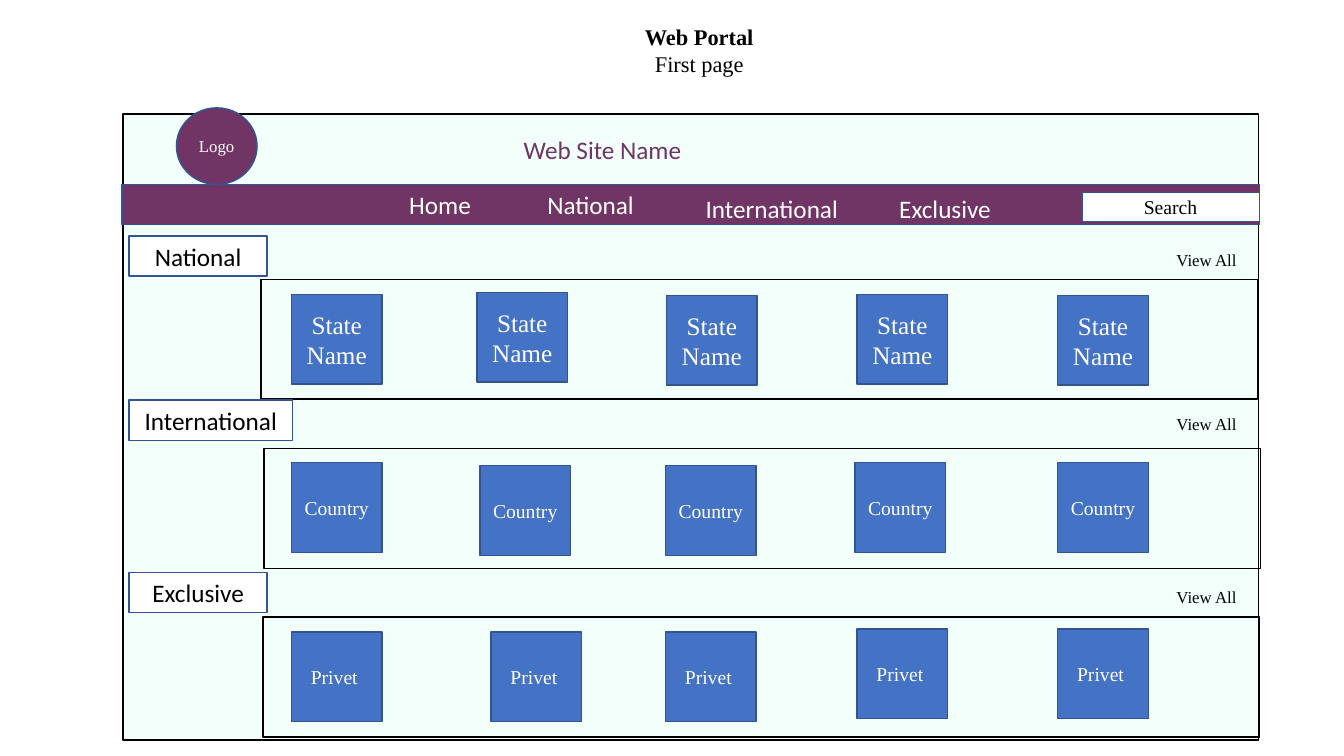
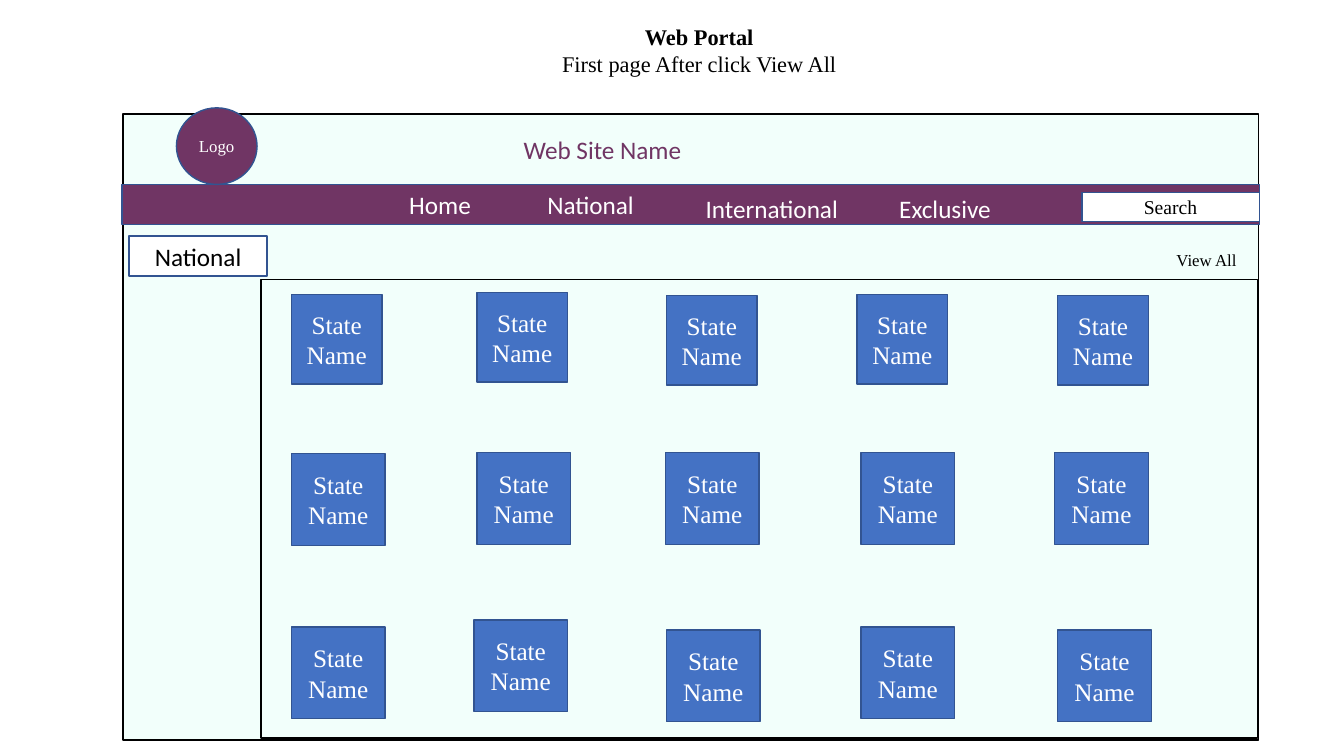
from dataclasses import dataclass
from typing import NamedTuple

from pptx import Presentation
from pptx.dml.color import RGBColor
from pptx.enum.shapes import MSO_SHAPE
from pptx.enum.text import MSO_ANCHOR, MSO_AUTO_SIZE, PP_ALIGN
from pptx.shapes.autoshape import Shape
from pptx.slide import Slide
from pptx.text.text import TextFrame
from pptx.util import Inches, Pt

BLACK = RGBColor(0x00, 0x00, 0x00)
WHITE = RGBColor(0xFF, 0xFF, 0xFF)
MINT = RGBColor(0xF2, 0xFF, 0xFB)
PLUM = RGBColor(0x70, 0x35, 0x64)
BLUE = RGBColor(0x44, 0x72, 0xC4)
NAVY = RGBColor(0x32, 0x54, 0x91)

SERIF = "Times New Roman"
SANS = "Calibri"

# Square grid: ten columns or rows to the inch.
CELL = Inches(0.1)
TITLE_LAYOUT = 5
TEXT_HEIGHT = 4


class Box(NamedTuple):
    """Left, top, width and height in grid cells."""
    left: float
    top: float
    width: float
    height: float

    def emu(self) -> list[int]:
        """Give the four lengths in slide units."""
        return [round(n * CELL) for n in self]


class Style(NamedTuple):
    """Font, size in points and colour of a text."""
    font: str
    size: int
    color: RGBColor


@dataclass(frozen=True)
class TileRow:
    """A row of equally sized tiles that carry the same text."""
    text: str
    size: int
    lefts: tuple[float, ...]
    tops: tuple[float, ...]
    width: float = 9
    height: float = 8.9


@dataclass(frozen=True)
class Section:
    """A label with its link, and a panel holding rows of tiles."""
    label: str
    label_top: float
    label_width: float
    panel: Box
    rows: tuple[TileRow, ...]


@dataclass(frozen=True)
class Page:
    """Subtitle and sections of one slide."""
    subtitle: str
    sections: tuple[Section, ...]


NAV = (
    ("Home", Box(39.6, 18.3, 9.1, TEXT_HEIGHT)),
    ("National", Box(53.3, 18.3, 11.6, TEXT_HEIGHT)),
    ("International", Box(69, 18.7, 16, TEXT_HEIGHT)),
    ("Exclusive", Box(88.2, 18.7, 13.1, TEXT_HEIGHT)),
)

STATES = TileRow("State Name", 18, (28.9, 47.3, 66.1, 85, 104.9),
                 (29.2, 29, 29.3, 29.2, 29.3))
COUNTRIES = TileRow("Country", 14, (28.9, 47.6, 66, 84.8, 104.9),
                    (45.9, 46.2, 46.2, 45.9, 45.9))
PRIVATE = TileRow("Privet ", 14, (28.9, 48.7, 66, 85, 104.9),
                  (62.7, 62.7, 62.7, 62.4, 62.4))
MORE_STATES = (
    TileRow("State Name", 18, (28.9, 47.3, 66, 85.4, 104.6),
            (45, 44.9, 44.9, 44.9, 44.9), 9.3, 9.1),
    TileRow("State Name", 18, (28.9, 47, 66.1, 85.4, 104.9),
            (62.2, 61.5, 62.5, 62.2, 62.5), 9.3, 9.1),
)

PAGES = (
    Page("First page", (
        Section("National", 23.4, 13.7, Box(25.9, 27.7, 98.8, 11.9), (STATES,)),
        Section("International", 39.7, 16.2, Box(26.2, 44.5, 98.8, 11.9),
                (COUNTRIES,)),
        Section("Exclusive", 56.8, 13.7, Box(26.1, 61.2, 98.8, 11.9),
                (PRIVATE,)),
    )),
    Page("First page After click View All", (
        Section("National", 23.4, 13.7, Box(25.9, 27.7, 98.8, 45.5),
                (STATES, *MORE_STATES)),
    )),
)


def write(tf: TextFrame, text: str, style: Style, align: PP_ALIGN) -> None:
    """Fill a text frame, one paragraph a line, in one style."""
    tf.text = text
    for p in tf.paragraphs:
        p.alignment = align
        p.font.name = style.font
        p.font.size = Pt(style.size)
        p.font.color.rgb = style.color


def add_text(s: Slide, box: Box, text: str, style: Style,
             align: PP_ALIGN = PP_ALIGN.LEFT, wrap: bool = False) -> None:
    """Add a text box."""
    tf = s.shapes.add_textbox(*box.emu()).text_frame
    tf.word_wrap = wrap
    write(tf, text, style, align)


def add_block(s: Slide, box: Box, fill: RGBColor | None, line: RGBColor,
              kind: MSO_SHAPE = MSO_SHAPE.RECTANGLE) -> Shape:
    """Add an outlined shape, hollow when there is no fill."""
    sp = s.shapes.add_shape(kind, *box.emu())
    sp.shadow.inherit = False
    if fill is None:
        sp.fill.background()
    else:
        sp.fill.solid()
        sp.fill.fore_color.rgb = fill
    sp.line.color.rgb = line
    sp.line.width = Pt(1)
    return sp


def add_label(s: Slide, box: Box, fill: RGBColor, text: str, style: Style,
              kind: MSO_SHAPE = MSO_SHAPE.RECTANGLE) -> None:
    """Add a filled shape with centred text."""
    tf = add_block(s, box, fill, NAVY, kind).text_frame
    tf.vertical_anchor = MSO_ANCHOR.MIDDLE
    write(tf, text, style, PP_ALIGN.CENTER)


def add_title(s: Slide, subtitle: str) -> None:
    """Place the title with its subtitle line."""
    sp = s.shapes.title
    sp.left, sp.top, sp.width, sp.height = Box(13.7, 1.8, 111.3, 6.4).emu()
    tf = sp.text_frame
    tf.vertical_anchor = MSO_ANCHOR.TOP
    tf.auto_size = MSO_AUTO_SIZE.NONE
    write(tf, f"Web Portal\n{subtitle}", Style(SERIF, 16, BLACK),
          PP_ALIGN.CENTER)
    tf.paragraphs[0].font.bold = True


def add_site_header(s: Slide) -> None:
    """Draw the site frame, logo, name, menu and search field."""
    add_block(s, Box(12.2, 11.3, 112.6, 62.1), MINT, BLACK)
    add_block(s, Box(12.1, 18.3, 112.8, 4), PLUM, NAVY)
    add_label(s, Box(17.5, 10.7, 8, 7.6), PLUM, "Logo",
              Style(SERIF, 12, WHITE), MSO_SHAPE.OVAL)
    add_text(s, Box(30, 12.8, 59.5, TEXT_HEIGHT), "Web Site Name",
             Style(SANS, 18, PLUM), PP_ALIGN.CENTER, wrap=True)
    for text, box in NAV:
        add_text(s, box, text, Style(SANS, 18, WHITE))
    add_label(s, Box(107.3, 19.1, 17.6, 2.9), WHITE, "Search",
              Style(SERIF, 14, BLACK))


def add_section(s: Slide, section: Section) -> None:
    """Draw a section's label, link, panel and tiles."""
    add_label(s, Box(12.8, section.label_top, section.label_width, TEXT_HEIGHT),
              WHITE, section.label, Style(SANS, 18, BLACK))
    add_text(s, Box(115.7, section.label_top + 0.9, 8, 3), "View All",
             Style(SERIF, 12, BLACK))
    add_block(s, section.panel, None, BLACK)
    for row in section.rows:
        for left, top in zip(row.lefts, row.tops):
            add_label(s, Box(left, top, row.width, row.height), BLUE, row.text,
                      Style(SERIF, row.size, WHITE))


def main() -> None:
    """Build the deck."""
    prs = Presentation()
    prs.slide_width, prs.slide_height = Inches(13.33), Inches(7.5)
    for page in PAGES:
        s = prs.slides.add_slide(prs.slide_layouts[TITLE_LAYOUT])
        add_title(s, page.subtitle)
        add_site_header(s)
        for section in page.sections:
            add_section(s, section)
    prs.save("out.pptx")


main()
